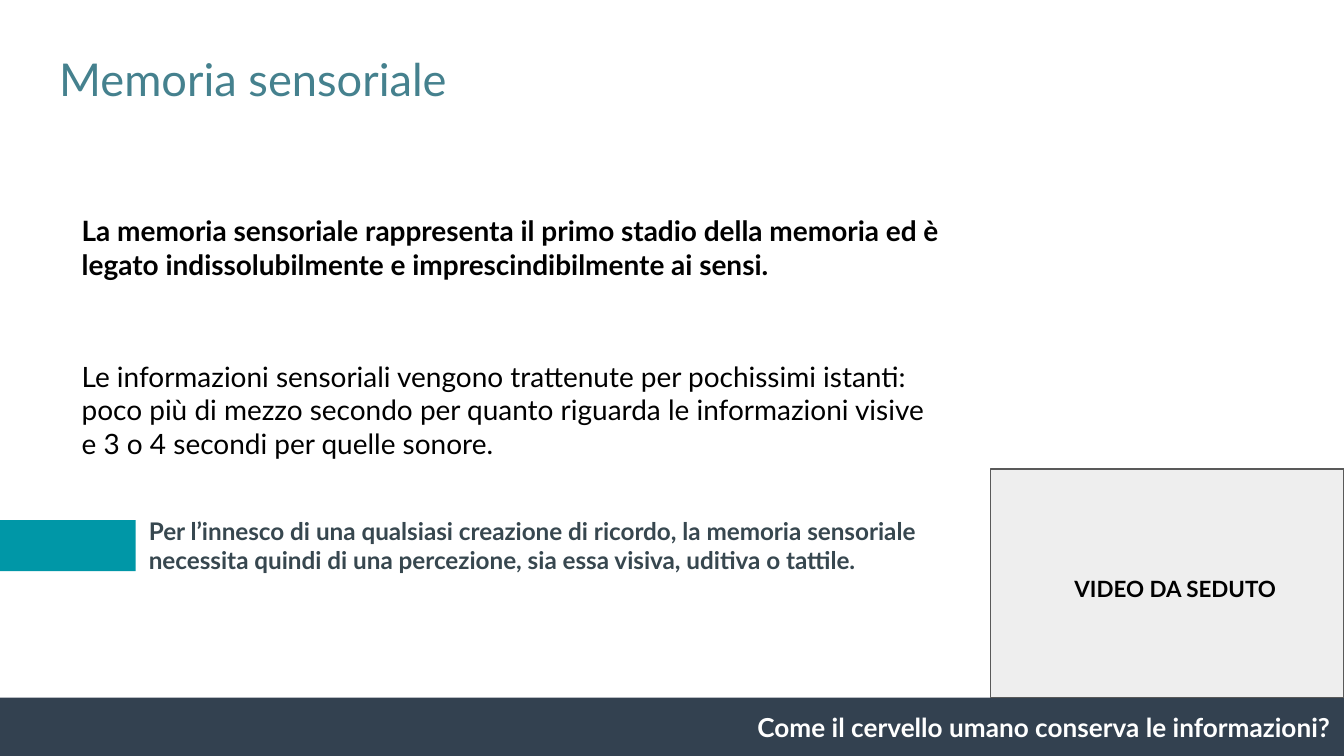
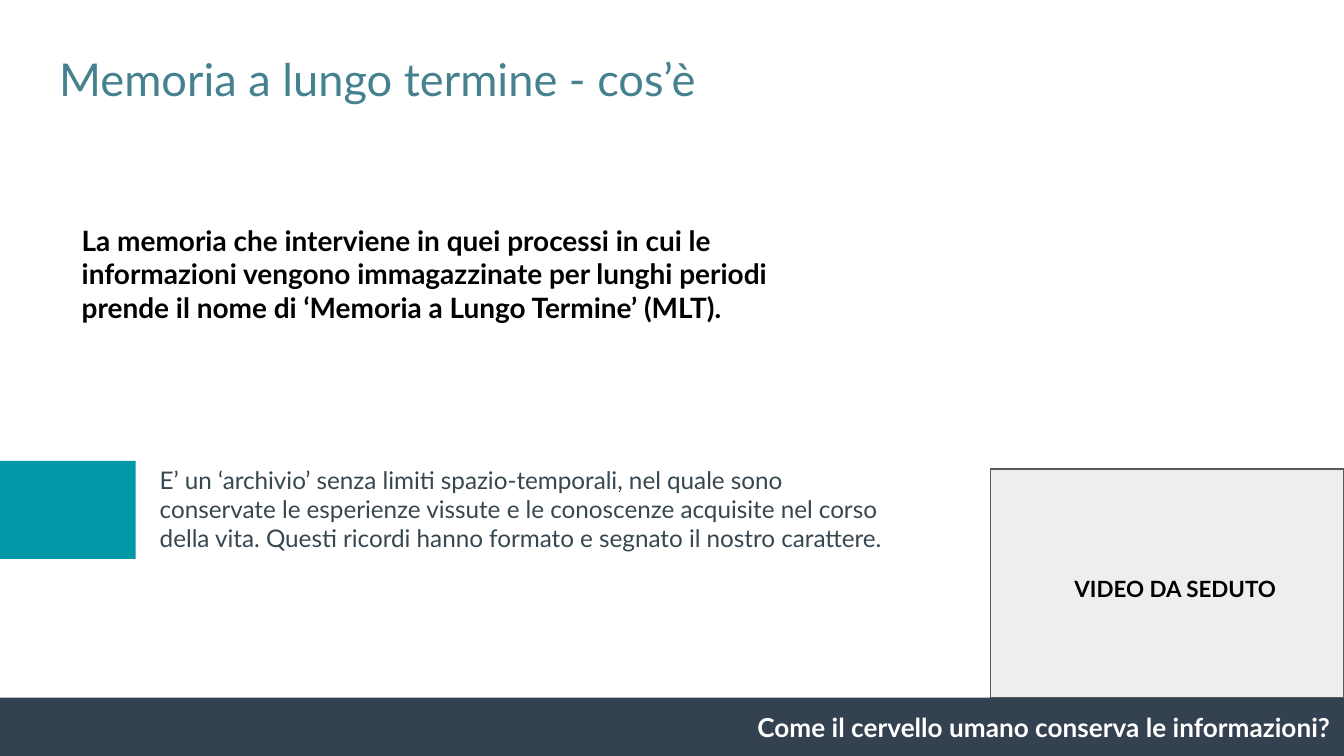
from dataclasses import dataclass

from pptx import Presentation
from pptx.dml.color import RGBColor
from pptx.enum.shapes import MSO_SHAPE as Shape
from pptx.enum.text import MSO_ANCHOR as Anchor, MSO_AUTO_SIZE as AutoSize, PP_ALIGN as Align
from pptx.util import Inches, Pt

COLUMNS = 10
ROWS = COLUMNS * 9 / 16
WIDTH, HEIGHT = Inches(COLUMNS), Inches(ROWS)
TITLE_ONLY = 5


@dataclass(frozen=True)
class Theme:
    font: str = "Lato"
    title: str = "45818E"
    ink: str = "000000"
    note: str = "37474F"
    accent: str = "0097A7"
    band: str = "334150"
    on_band: str = "FFFFFF"
    video: str = "EEEEEE"
    video_edge: str = "595959"
    title_size: float = 24.2
    body_size: float = 15
    footer_size: float = 14
    note_size: float = 13
    video_size: float = 12


THEME = Theme()
BAND_TOP = 5.19
VIDEO_LEFT, VIDEO_TOP = 7.37, 3.49
ACCENT_WIDTH = 1.01
FOOTER = "Come il cervello umano conserva le informazioni?"


@dataclass(frozen=True)
class Passage:
    text: str
    size: float = THEME.body_size
    color: str = THEME.ink
    bold: bool = False
    align: Align = Align.LEFT
    before: float = 0
    indent: float = 0


def grid(left, top, width, height):
    column, row = WIDTH / COLUMNS, HEIGHT / ROWS
    return [round(n) for n in (left * column, top * row, width * column, height * row)]


def write(frame, passages):
    frame.word_wrap = True
    frame.auto_size = AutoSize.NONE
    frame.vertical_anchor = Anchor.TOP
    frame.margin_left = frame.margin_right = Inches(0.1)
    frame.margin_top = frame.margin_bottom = Inches(0.1)
    for index, passage in enumerate(passages):
        paragraph = frame.add_paragraph() if index else frame.paragraphs[0]
        paragraph.text = passage.text
        paragraph.alignment = passage.align
        paragraph.space_before = Pt(passage.before)
        if passage.indent:
            properties = paragraph._p.get_or_add_pPr()
            properties.set("marL", str(Inches(passage.indent)))
            properties.set("indent", "0")
        font = paragraph.font
        font.name, font.size, font.bold = THEME.font, Pt(passage.size), passage.bold
        font.color.rgb = RGBColor.from_string(passage.color)


def add_text(slide, area, *passages):
    write(slide.shapes.add_textbox(*grid(*area)).text_frame, passages)


def add_block(slide, area, fill, edge=None):
    block = slide.shapes.add_shape(Shape.RECTANGLE, *grid(*area))
    block.shadow.inherit = False
    block.fill.solid()
    block.fill.fore_color.rgb = RGBColor.from_string(fill)
    if edge:
        block.line.color.rgb = RGBColor.from_string(edge)
        block.line.width = Pt(0.75)
    else:
        block.line.fill.background()


def add_accent(slide, top, height):
    add_block(slide, (0, top, ACCENT_WIDTH, height), THEME.accent)


def add_footer(slide):
    height = ROWS - BAND_TOP
    add_block(slide, (0, BAND_TOP, COLUMNS, height), THEME.band)
    add_text(slide, (4.56, BAND_TOP, COLUMNS - 4.56, height),
             Passage(FOOTER, THEME.footer_size, THEME.on_band, True, Align.RIGHT))


def add_video_area(slide):
    area = (VIDEO_LEFT, VIDEO_TOP, COLUMNS - VIDEO_LEFT, BAND_TOP - VIDEO_TOP)
    add_block(slide, area, THEME.video, THEME.video_edge)
    add_text(slide, (7.65, 4.18, 2.19, 0.63),
             Passage("VIDEO DA SEDUTO", THEME.video_size, bold=True, align=Align.CENTER))


def add_lesson(deck, heading):
    slide = deck.slides.add_slide(deck.slide_layouts[TITLE_ONLY])
    title = slide.shapes.title
    title.left, title.top, title.width, title.height = grid(0.34, 0.28, 9.32, 0.63)
    write(title.text_frame, [Passage(heading, THEME.title_size, THEME.title)])
    add_footer(slide)
    add_video_area(slide)
    return slide


def add_sensory_memory(deck):
    slide = add_lesson(deck, "Memoria sensoriale")
    add_text(
        slide, (0.51, 1.49, 6.6, 2.91),
        Passage("La memoria sensoriale rappresenta il primo stadio della memoria ed è "
                "legato indissolubilmente e imprescindibilmente ai sensi.", bold=True),
        Passage("Le informazioni sensoriali vengono trattenute per pochissimi istanti: "
                "poco più di mezzo secondo per quanto riguarda le informazioni visive "
                "e 3 o 4 secondi per quelle sonore.", before=42),
        Passage("Per l’innesco di una qualsiasi creazione di ricordo, la memoria sensoriale "
                "necessita quindi di una percezione, sia essa visiva, uditiva o tattile.",
                THEME.note_size, THEME.note, True, before=30, indent=0.5))
    add_accent(slide, 3.87, 0.38)


def add_long_term_memory(deck):
    slide = add_lesson(deck, "Memoria a lungo termine - cos’è")
    add_text(
        slide, (0.51, 1.56, 5.53, 1.16),
        Passage("La memoria che interviene in quei processi in cui le informazioni vengono "
                "immagazzinate per lunghi periodi prende il nome di "
                "‘Memoria a Lungo Termine’ (MLT).", bold=True))
    add_text(
        slide, (1.09, 3.36, 5.65, 0.86),
        Passage("E’ un ‘archivio’ senza limiti spazio-temporali, nel quale sono conservate "
                "le esperienze vissute e le conoscenze acquisite nel corso della vita. "
                "Questi ricordi hanno formato e segnato il nostro carattere.",
                THEME.note_size, THEME.note))
    add_accent(slide, 3.43, 0.73)


def main():
    deck = Presentation()
    deck.slide_width, deck.slide_height = WIDTH, HEIGHT
    add_sensory_memory(deck)
    add_long_term_memory(deck)
    deck.save("out.pptx")


main()
